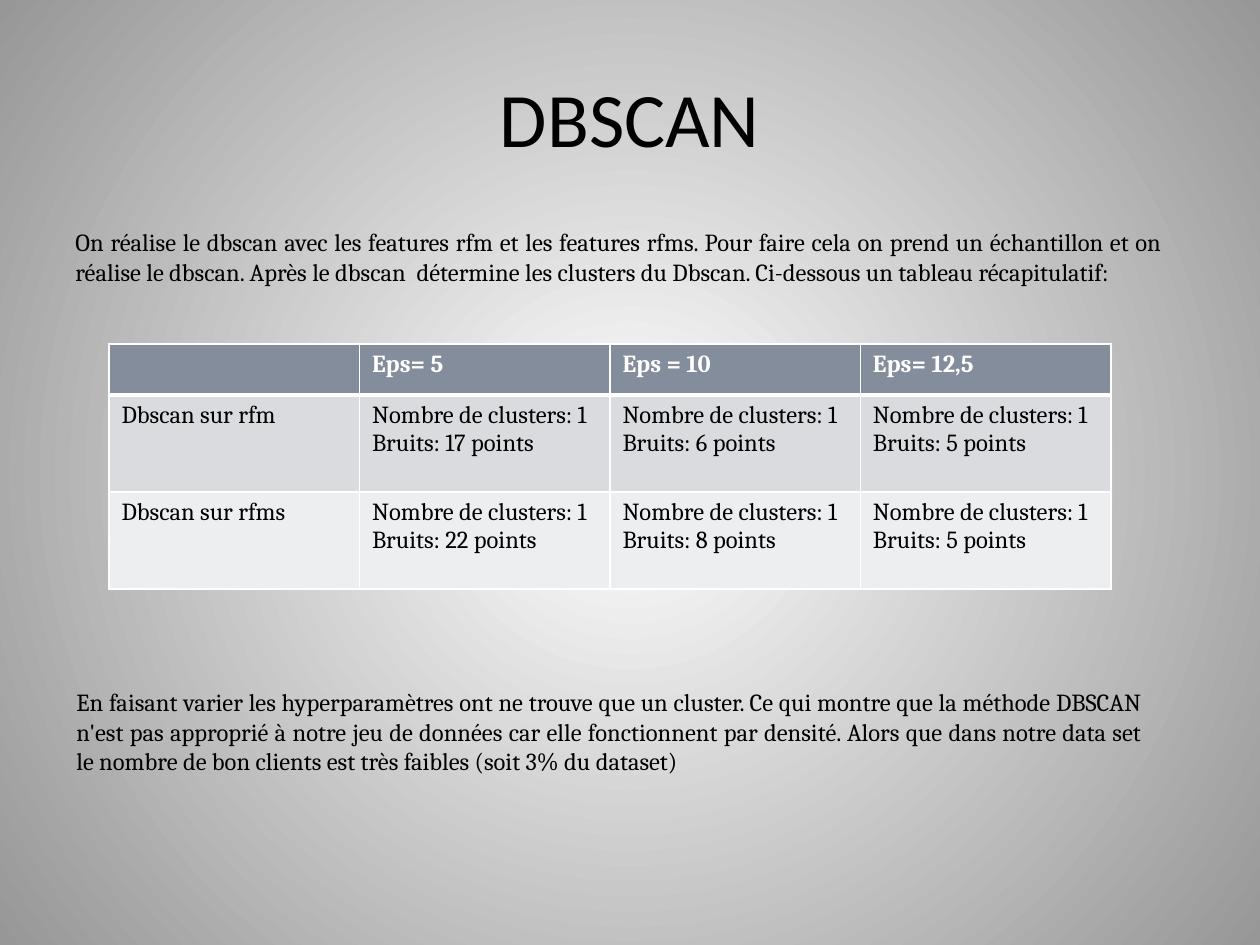
from lxml.etree import SubElement
from pptx import Presentation
from pptx.dml.color import RGBColor
from pptx.enum.text import MSO_ANCHOR, PP_ALIGN
from pptx.oxml import parse_xml
from pptx.oxml.ns import nsdecls, qn
from pptx.util import Emu, Pt

TITLE = "DBSCAN"
INTRO = ("On réalise le dbscan avec les features rfm et les features rfms. "
         "Pour faire cela on prend un échantillon et on réalise le dbscan. "
         "Après le dbscan  détermine les clusters du Dbscan. "
         "Ci-dessous un tableau récapitulatif:")
CONCLUSION = ("En faisant varier les hyperparamètres ont ne trouve que un cluster. "
              "Ce qui montre que la méthode DBSCAN n'est pas approprié à notre jeu "
              "de données car elle fonctionnent par densité. Alors que dans notre "
              "data set le nombre de bon clients est très faibles "
              "(soit 3% du dataset)")
EPS = ["Eps= 5", "Eps = 10", "Eps= 12,5"]
NOISE = [("Dbscan sur rfm", [17, 6, 5]), ("Dbscan sur rfms", [22, 8, 5])]

BLACK = RGBColor(0x00, 0x00, 0x00)
WHITE = RGBColor(0xFF, 0xFF, 0xFF)
BACKDROP_EDGE = RGBColor(0x97, 0x97, 0x97)
ROW_FILLS = [RGBColor(0x83, 0x8D, 0x9B), RGBColor(0xD9, 0xDB, 0xDE),
             RGBColor(0xED, 0xEE, 0xEF)]
ROW_HEIGHTS = [51, 97, 97]
COL_WIDTH = 1002 / 4


def px(n):
    return Emu(round(n * 914400 / 126))


def place(s, x, y, w, h):
    s.left, s.top, s.width, s.height = px(x), px(y), px(w), px(h)


def add_run(p, text, size=14, font="Cambria", color=BLACK, bold=False):
    r = p.add_run()
    r.text = text
    r.font.size, r.font.name, r.font.bold = Pt(size), font, bold
    r.font.color.rgb = color


def set_background(slide):
    """Radial gradient, white in the centre."""
    stops = "".join(f'<a:gs pos="{pos}"><a:srgbClr val="{c}"/></a:gs>'
                    for pos, c in [(0, WHITE), (100000, BACKDROP_EDGE)])
    bg = parse_xml(
        f'<p:bg {nsdecls("p", "a")}><p:bgPr><a:gradFill rotWithShape="1">'
        f'<a:gsLst>{stops}</a:gsLst><a:path path="circle">'
        '<a:fillToRect l="50000" t="50000" r="50000" b="50000"/></a:path>'
        '</a:gradFill><a:effectLst/></p:bgPr></p:bg>')
    slide.element.cSld.insert(0, bg)


def add_borders(cell, widths):
    """White borders; widths in points for left, right, top, bottom."""
    tcPr = cell._tc.get_or_add_tcPr()
    for i, (side, width) in enumerate(zip("LRTB", widths)):
        ln = tcPr.makeelement(qn(f"a:ln{side}"), {"w": str(Pt(width))})
        SubElement(SubElement(ln, qn("a:solidFill")), qn("a:srgbClr"),
                   val=str(WHITE))
        tcPr.insert(i, ln)


def add_paragraph_box(slide, text, box, space_before=0):
    s = slide.shapes.add_textbox(*map(px, box))
    tf = s.text_frame
    tf.word_wrap = True
    p = tf.paragraphs[0]
    p.alignment = PP_ALIGN.JUSTIFY
    p.space_before = Pt(space_before)
    add_run(p, text)


def add_results(slide):
    rows = [[[]] + [[eps] for eps in EPS]]
    rows += [[[label]] + [["Nombre de clusters: 1", f"Bruits: {n} points"]
                          for n in counts] for label, counts in NOISE]
    table = slide.shapes.add_table(
        len(rows), len(rows[0]), px(109), px(344),
        px(4 * COL_WIDTH), px(sum(ROW_HEIGHTS))).table
    for col in table.columns:
        col.width = px(COL_WIDTH)
    for i, row in enumerate(rows):
        table.rows[i].height = px(ROW_HEIGHTS[i])
        header = i == 0
        for j, lines in enumerate(row):
            cell = table.cell(i, j)
            cell.fill.solid()
            cell.fill.fore_color.rgb = ROW_FILLS[i]
            add_borders(cell, (1, 1, 3 if i == 1 else 1, 3 if header else 1))
            tf = cell.text_frame
            for k, line in enumerate(lines):
                p = tf.add_paragraph() if k else tf.paragraphs[0]
                add_run(p, line, color=WHITE if header else BLACK, bold=header)


def main():
    prs = Presentation()
    prs.slide_width, prs.slide_height = px(1260), px(945)
    slide = prs.slides.add_slide(prs.slide_layouts[5])
    set_background(slide)

    title = slide.shapes.title
    place(title, 63, 38, 1134, 157)
    tf = title.text_frame
    tf.vertical_anchor = MSO_ANCHOR.MIDDLE
    p = tf.paragraphs[0]
    p.alignment = PP_ALIGN.CENTER
    add_run(p, TITLE, size=44, font="Calibri")

    add_paragraph_box(slide, INTRO, (63, 221, 1112, 93), space_before=2.8)
    add_results(slide)
    add_paragraph_box(slide, CONCLUSION, (64, 681, 1091, 131))
    prs.save("out.pptx")


if __name__ == "__main__":
    main()
